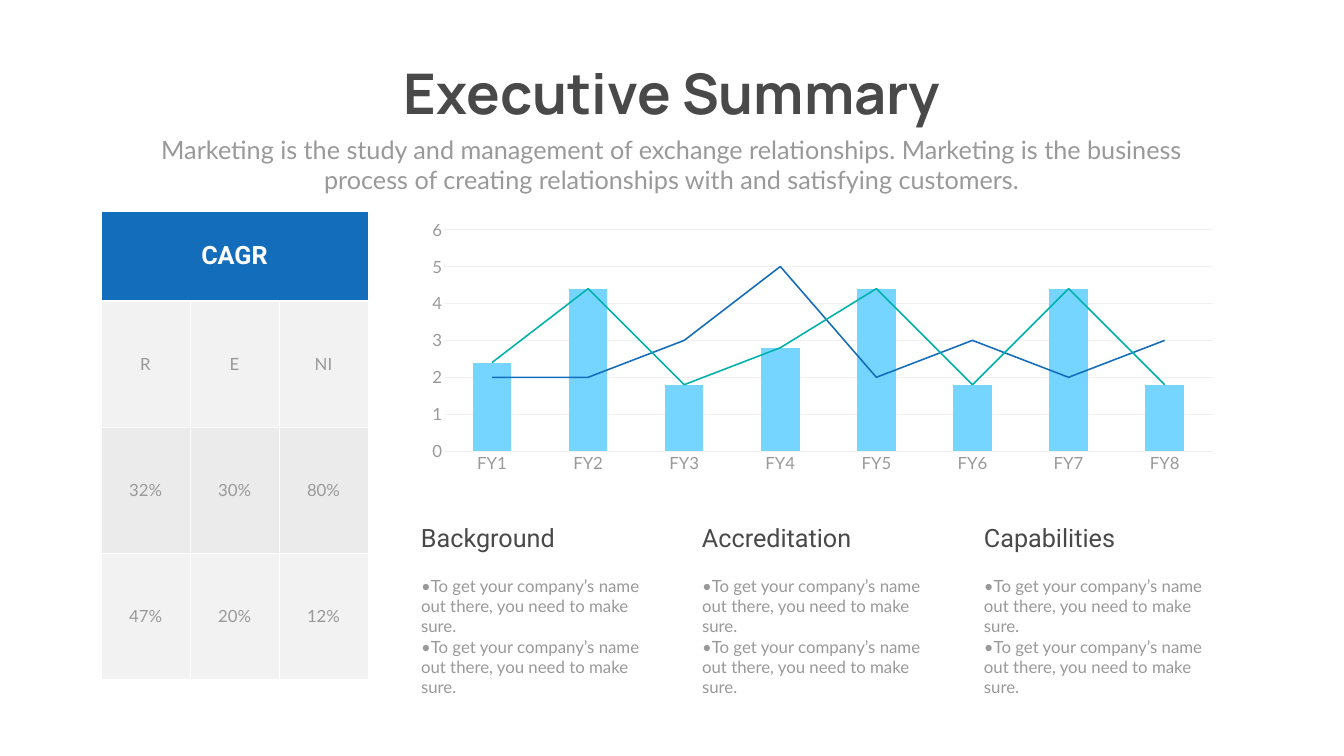
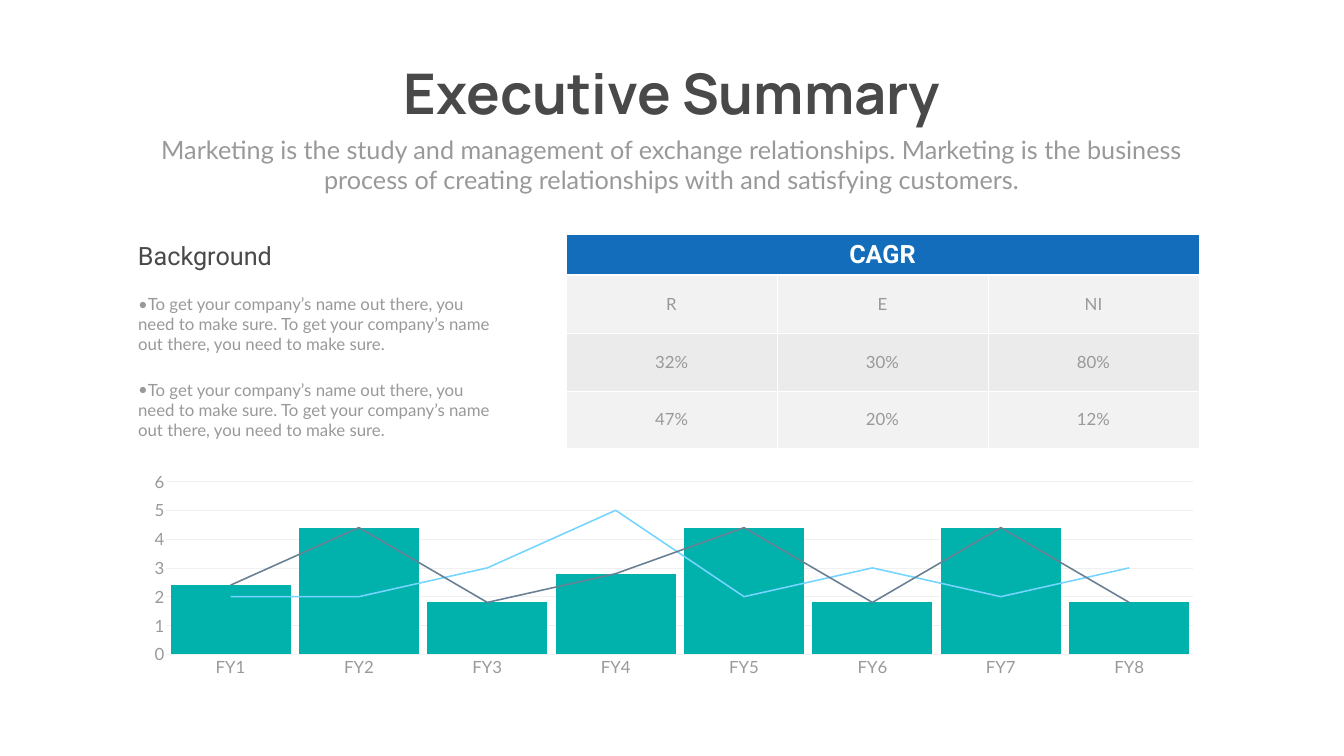
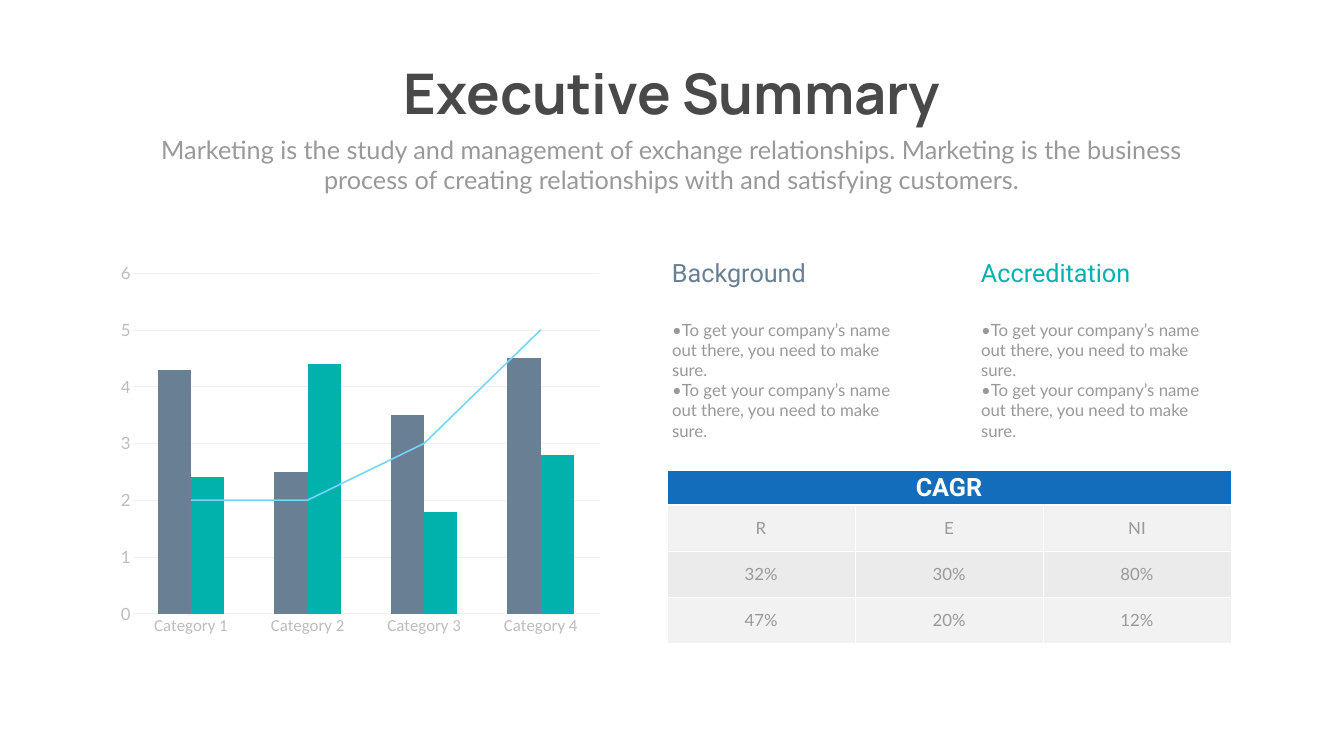
from lxml.etree import SubElement
from pptx import Presentation
from pptx.chart.data import CategoryChartData
from pptx.dml.color import RGBColor
from pptx.enum.chart import XL_CHART_TYPE, XL_MARKER_STYLE, XL_TICK_MARK
from pptx.enum.text import MSO_ANCHOR, MSO_AUTO_SIZE, PP_ALIGN
from pptx.oxml import parse_xml
from pptx.oxml.ns import nsdecls, qn
from pptx.util import Pt

PX = 18143  # EMU per px
rgb = RGBColor.from_string

DARK, GREY, PALE, RULE = "494949", "999999", "BDBDBD", "F0F0F0"
BLUE, SKY, TEAL, SLATE = "136DBB", "75D5FF", "00B1AC", "698094"
LIGHT, BAND, WHITE = "F2F2F2", "D9D9D9", "FFFFFF"

TITLE = "Executive Summary"
SUBTITLE = ("Marketing is the study and management of exchange relationships. "
            "Marketing is the business process of creating relationships with "
            "and satisfying customers.")
ADVICE = "To get your company’s name out there, you need to make sure."
CAGR = [["CAGR", "", ""], ["R", "E", "NI"], ["32%", "30%", "80%"], ["47%", "20%", "12%"]]

YEARS = [f"FY{n}" for n in range(1, 9)]
WAVE = [2.4, 4.4, 1.8, 2.8, 4.4, 1.8, 4.4, 1.8]
PEAK = [2, 2, 3, 5, 2, 3, 2, 3]

SLIDES = [
    {"layout": 3,
     "heads": [(416, "Background", DARK), (697, "Accreditation", DARK), (979, "Capabilities", DARK)],
     "head_y": 520, "list_y": 573, "list_size": (250, 107), "item": ADVICE, "gap": 1,
     "table": (101, 211), "col": 89, "rows": [90, 126, 126, 126],
     "chart": (416, 214, 813, 265), "cats": YEARS, "bars": 1, "bar_gap": 150,
     "series": [(WAVE, SKY), (PEAK, BLUE), (WAVE, TEAL)],
     "axis_color": GREY, "cat_font": "Lato"},
    {"layout": 1,
     "heads": [(133, "Background", DARK)],
     "head_y": 238, "list_y": 291, "list_size": (373, 152),
     "item": f"{ADVICE} {ADVICE}", "gap": 36,
     "table": (566, 234), "col": 211, "rows": [41, 58, 58, 57],
     "chart": (133, 467, 1082, 214), "cats": YEARS, "bars": 1, "bar_gap": 7,
     "series": [(WAVE, TEAL), (PEAK, SKY), (WAVE, SLATE)],
     "axis_color": GREY, "cat_font": "Lato"},
    {"layout": 3,
     "heads": [(667, "Background", SLATE), (976, "Accreditation", TEAL)],
     "head_y": 255, "list_y": 317, "list_size": (250, 105), "item": ADVICE, "gap": 0,
     "table": (667, 470), "col": 188, "rows": [35, 46, 46, 46],
     "chart": (111, 255, 498, 389), "cats": [f"Category {n}" for n in range(1, 5)],
     "bars": 2, "bar_gap": 150,
     "series": [([4.3, 2.5, 3.5, 4.5], SLATE), (WAVE[:4], TEAL), (PEAK[:4], SKY)],
     "axis_color": PALE, "cat_font": "Calibri"},
]


def style(font, name, size, color, bold=False):
    font.name, font.size, font.bold = name, Pt(size), bold
    font.color.rgb = rgb(color)


def write(sp, box, texts, name, size, color, bold=False, align=PP_ALIGN.LEFT,
          wrap=True, bullets=False, gap=0):
    """Place a shape and fill it with one paragraph per text."""
    sp.left, sp.top, sp.width, sp.height = [v * PX for v in box]
    tf = sp.text_frame
    tf.word_wrap, tf.auto_size = wrap, MSO_AUTO_SIZE.NONE
    tf.vertical_anchor = MSO_ANCHOR.TOP
    for i, text in enumerate(texts):
        p = tf.add_paragraph() if i else tf.paragraphs[0]
        if bullets:
            pPr = p._p.get_or_add_pPr()
            pPr.set("marL", "0")
            pPr.set("indent", "0")
            SubElement(pPr, qn("a:buFont"), typeface=name)
            SubElement(pPr, qn("a:buChar"), char="•")
        p.alignment, p.space_before = align, Pt(gap if i else 0)
        r = p.add_run()
        r.text = text
        style(r.font, name, size, color, bold)


prs = Presentation()
prs.slide_width, prs.slide_height = 1344 * PX, 756 * PX

for page in SLIDES:
    s = prs.slides.add_slide(prs.slide_layouts[page["layout"]])
    bodies = [ph for ph in s.placeholders if ph.placeholder_format.idx in (1, 2)]

    # Title and subtitle
    write(s.shapes.title, (375, 56, 594, 73), [TITLE], "Manrope", 80, DARK,
          bold=True, align=PP_ALIGN.CENTER, wrap=False)
    write(s.shapes.add_textbox(0, 0, 0, 0), (147, 132, 1049, 66), [SUBTITLE],
          "Lato", 36, GREY, align=PP_ALIGN.CENTER)

    # Headed lists
    for x, head, color in page["heads"]:
        write(s.shapes.add_textbox(0, 0, 0, 0), (x, page["head_y"], 164, 36), [head],
              "Roboto", 36, color)
        sp = bodies.pop(0) if bodies else s.shapes.add_textbox(0, 0, 0, 0)
        write(sp, (x, page["list_y"], *page["list_size"]), [page["item"]] * 2,
              "Lato", 24, GREY, bullets=True, gap=page["gap"])

    # CAGR table
    x, y = page["table"]
    table = s.shapes.add_table(4, 3, x * PX, y * PX, 3 * page["col"] * PX,
                               sum(page["rows"]) * PX).table
    table.first_row = table.horz_banding = False
    for col in table.columns:
        col.width = page["col"] * PX
    for i, height in enumerate(page["rows"]):
        table.rows[i].height = height * PX
        for j, text in enumerate(CAGR[i]):
            cell = table.cell(i, j)
            cell.vertical_anchor = MSO_ANCHOR.MIDDLE
            tcPr = cell._tc.get_or_add_tcPr()
            for side in "LRTB":
                thick = (side == "B" and i == 0) or (side == "T" and i == 1)
                ln = SubElement(tcPr, qn(f"a:ln{side}"), w=str(Pt(3 if thick else 1)))
                SubElement(SubElement(ln, qn("a:solidFill")), qn("a:srgbClr"), val=WHITE)
            cell.fill.solid()
            cell.fill.fore_color.rgb = rgb([BLUE, LIGHT, BAND, LIGHT][i])
            if i == 2:
                clr = tcPr.find(qn("a:solidFill")).find(qn("a:srgbClr"))
                SubElement(clr, qn("a:alpha"), val="50000")
            if text:
                p = cell.text_frame.paragraphs[0]
                p.alignment = PP_ALIGN.CENTER
                r = p.add_run()
                r.text = text
                if i == 0:
                    style(r.font, "Roboto", 36, WHITE, True)
                else:
                    style(r.font, "Lato", 24, GREY)
    table.cell(0, 0).merge(table.cell(0, 2))

    # Column and line chart
    data = CategoryChartData()
    data.categories = page["cats"]
    for n, (values, color) in enumerate(page["series"], 1):
        data.add_series(f"Series {n}", values)
    chart = s.shapes.add_chart(XL_CHART_TYPE.COLUMN_CLUSTERED,
                               *[v * PX for v in page["chart"]], data).chart
    chart.has_legend = chart.has_title = False
    style(chart.font, "Calibri", 10, GREY)

    bar = chart.plots[0]._element
    line = parse_xml(f'<c:lineChart {nsdecls("c")}><c:grouping val="standard"/>'
                     '<c:varyColors val="0"/><c:marker val="1"/></c:lineChart>')
    for ser in bar.findall(qn("c:ser"))[page["bars"]:]:
        for flag in ser.findall(qn("c:invertIfNegative")):
            ser.remove(flag)
        line.find(qn("c:marker")).addprevious(ser)
    for ax in bar.findall(qn("c:axId")):
        SubElement(line, qn("c:axId"), val=ax.get("val"))
    bar.addnext(line)

    columns, lines = chart.plots
    columns.gap_width, columns.vary_by_categories = page["bar_gap"], False
    colors = [color for values, color in page["series"]]
    for ser, color in zip(columns.series, colors):
        ser.format.fill.solid()
        ser.format.fill.fore_color.rgb = rgb(color)
    for ser, color in zip(lines.series, colors[page["bars"]:]):
        ser.smooth = False
        ser.marker.style = XL_MARKER_STYLE.NONE
        ser.format.line.width = Pt(2.25)
        ser.format.line.color.rgb = rgb(color)

    cat_axis, val_axis = chart.category_axis, chart.value_axis
    val_axis.minimum_scale, val_axis.maximum_scale, val_axis.major_unit = 0, 6, 1
    val_axis.has_major_gridlines = True
    val_axis.format.line.fill.background()
    for rule in (cat_axis.format.line, val_axis.major_gridlines.format.line):
        rule.width = Pt(0.75)
        rule.color.rgb = rgb(RULE)
    for axis, name in ((cat_axis, page["cat_font"]), (val_axis, "Lato")):
        axis.major_tick_mark = axis.minor_tick_mark = XL_TICK_MARK.NONE
        style(axis.tick_labels.font, name, 24, page["axis_color"])

prs.save("out.pptx")
